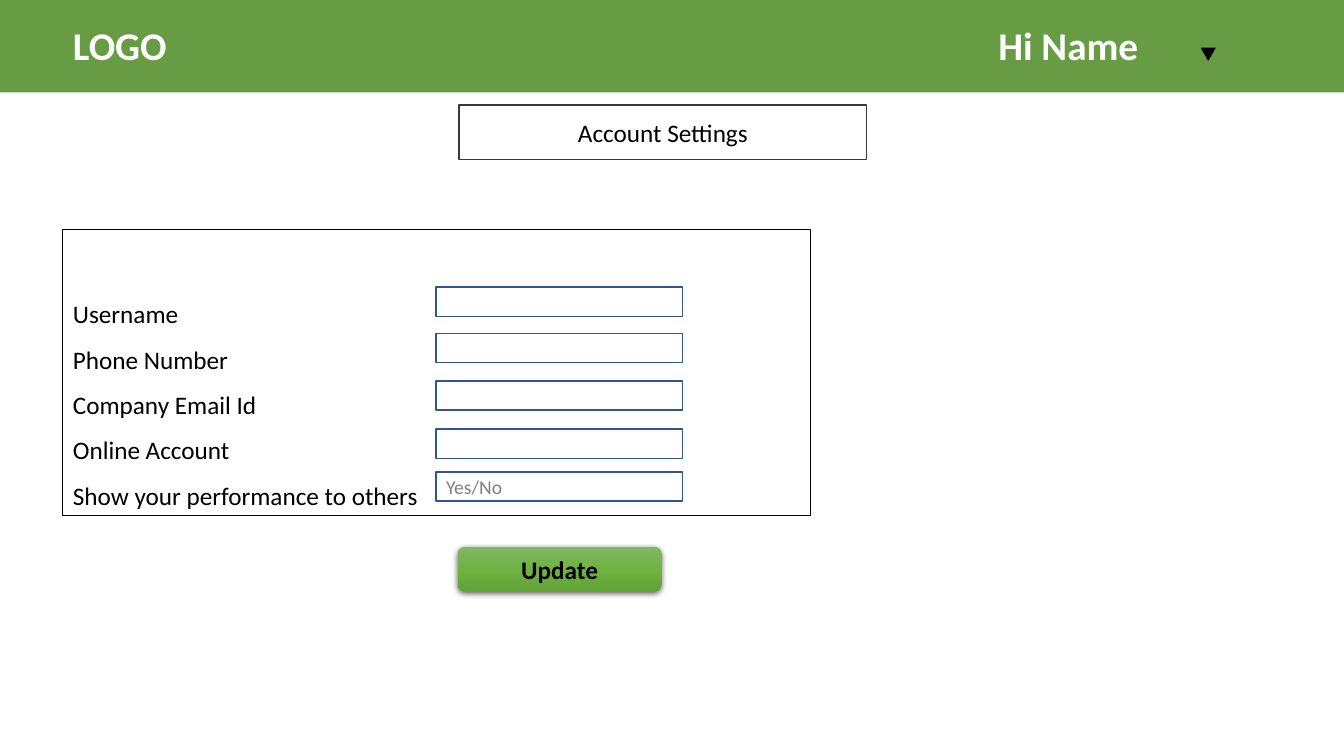
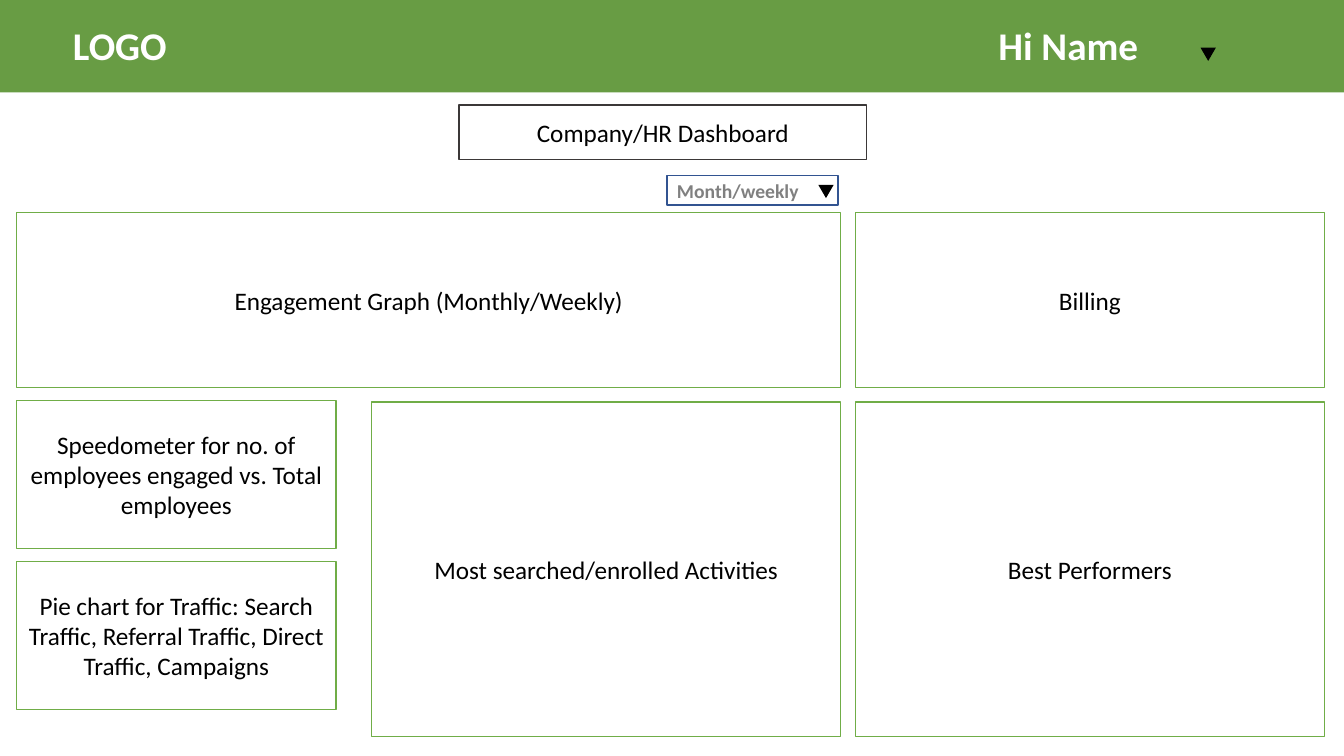
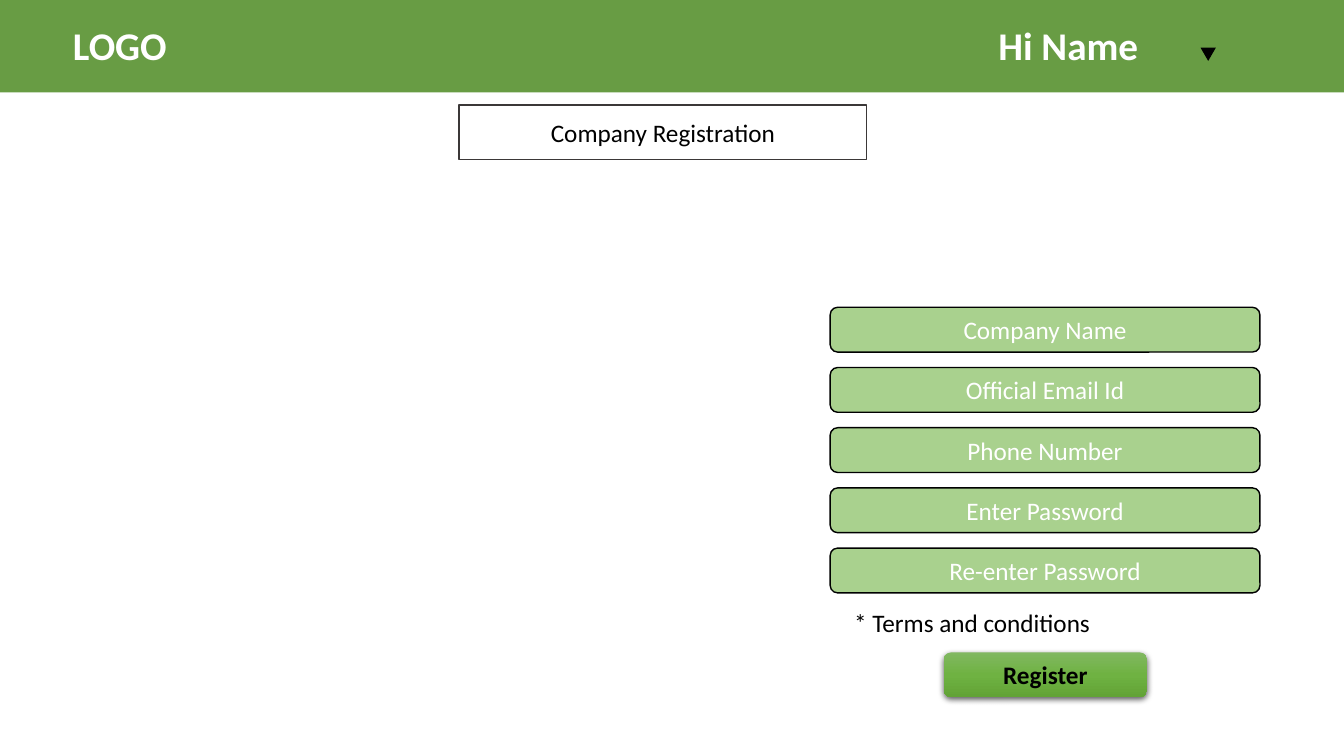
from copy import deepcopy
from dataclasses import dataclass

from lxml import etree
from pptx import Presentation
from pptx import util as u
from pptx.dml.color import RGBColor
from pptx.enum import shapes, text
from pptx.oxml.ns import qn

Pt = u.Pt
SHAPE = shapes.MSO_SHAPE
ALIGN = text.PP_ALIGN
ANCHOR = text.MSO_ANCHOR


@dataclass(frozen=True)
class Theme:
    font: str = "Calibri"
    # Colours
    band: str = "689C44"
    white: str = "FFFFFF"
    black: str = "000000"
    hint: str = "808080"
    title_line: str = "3B3838"
    field_line: str = "325491"
    card_line: str = "70AD47"
    pill: str = "A9D18E"
    button: tuple = ((0, "81B861"), (0.5, "6FB242"), (1, "62A336"))
    # Type sizes
    brand_size: int = 28
    body_size: int = 18
    hint_size: int = 14


class Wireframe:
    """Holds the theme, the presentation and the current slide."""

    def __init__(self, theme):
        self.t = theme
        self.prs = Presentation()
        self.prs.slide_width, self.prs.slide_height = Pt(960), Pt(540)
        self.s = None

    # Basic parts
    def style(self, sp, fill=None, line=None, width=1):
        if fill:
            sp.fill.solid()
            sp.fill.fore_color.rgb = RGBColor.from_string(fill)
        else:
            sp.fill.background()
        if line:
            sp.line.color.rgb = RGBColor.from_string(line)
            sp.line.width = Pt(width)
        else:
            sp.line.fill.background()

    def shape(self, kind, box, fill=None, line=None, width=1):
        sp = self.s.shapes.add_shape(kind, *map(Pt, box))
        sp.shadow.inherit = False
        self.style(sp, fill, line, width)
        return sp

    def put_text(self, sp, *lines, size=None, color=None, bold=False,
                 align=ALIGN.CENTER, anchor=ANCHOR.MIDDLE, spacing=None):
        tf = sp.text_frame
        tf.word_wrap = True
        tf.auto_size = text.MSO_AUTO_SIZE.NONE
        tf.vertical_anchor = anchor
        for i, line in enumerate(lines):
            p = tf.add_paragraph() if i else tf.paragraphs[0]
            p.alignment = align
            if spacing:
                p.line_spacing = spacing
            r = p.add_run()
            r.text = line
            r.font.name = self.t.font
            r.font.size = Pt(size or self.t.body_size)
            r.font.bold = bold
            r.font.color.rgb = RGBColor.from_string(color or self.t.black)

    # Slide frame
    def slide(self, title):
        t = self.t
        self.s = self.prs.slides.add_slide(self.prs.slide_layouts[5])
        self.shape(SHAPE.RECTANGLE, (0, 0, 960, 66), t.band)
        for x, label in ((45, "LOGO"), (706, "Hi Name")):
            self.label((x, 12, 145, 41), label, size=t.brand_size,
                       color=t.white, bold=True)
        self.arrow(857.5, 34)
        sp = self.s.shapes.title
        sp.left, sp.top, sp.width, sp.height = map(Pt, (328, 75, 291, 39))
        self.style(sp, t.white, t.title_line)
        self.put_text(sp, title)

    # Elements
    def label(self, box, line, **look):
        sp = self.s.shapes.add_textbox(*map(Pt, box))
        self.put_text(sp, line, align=ALIGN.LEFT, anchor=ANCHOR.TOP, **look)

    def arrow(self, x, y):
        sp = self.shape(SHAPE.ISOSCELES_TRIANGLE, (x, y, 11, 9.5), self.t.black)
        sp.rotation = 180

    def field(self, x, y, w, hint=None, bold=False):
        sp = self.shape(SHAPE.RECTANGLE, (x, y, w, 21),
                        self.t.white, self.t.field_line)
        if hint:
            self.put_text(sp, hint, size=self.t.hint_size, color=self.t.hint,
                          bold=bold, align=ALIGN.LEFT)

    def form(self, box, labels):
        sp = self.shape(SHAPE.RECTANGLE, box, line=self.t.black, width=0.75)
        self.put_text(sp, *labels, align=ALIGN.LEFT, anchor=ANCHOR.BOTTOM,
                      spacing=1.5)

    def card(self, box, line):
        sp = self.shape(SHAPE.RECTANGLE, box, self.t.white, self.t.card_line)
        self.put_text(sp, line)

    def pill(self, box, line):
        sp = self.shape(SHAPE.ROUNDED_RECTANGLE, box, self.t.pill, self.t.black)
        self.put_text(sp, line, color=self.t.white)

    def button(self, x, y, line):
        sp = self.shape(SHAPE.ROUNDED_RECTANGLE, (x, y, 145.5, 32))
        # Three-stop gradient, top to bottom
        sp.fill.gradient()
        sp.fill.gradient_angle = 270
        stops = sp._element.spPr.find(".//" + qn("a:gsLst"))
        stops.append(deepcopy(stops[0]))
        for stop, (pos, color) in zip(sp.fill.gradient_stops, self.t.button):
            stop.position = pos
            stop.color.rgb = RGBColor.from_string(color)
        # Soft shadow below
        effects = sp._element.spPr.find(qn("a:effectLst"))
        shadow = etree.SubElement(
            effects, qn("a:outerShdw"), blurRad=str(Pt(4.5)),
            dist=str(Pt(1.5)), dir="5400000", algn="ctr", rotWithShape="0")
        color = etree.SubElement(shadow, qn("a:srgbClr"), val=self.t.black)
        etree.SubElement(color, qn("a:alpha"), val="63000")
        self.put_text(sp, line, bold=True)


def account_settings(w):
    w.slide("Account Settings")
    w.form((45, 164, 534, 204),
           ("Username", "Phone Number", "Company Email Id", "Online Account",
            "Show your performance to others"))
    tops = (205, 238, 272, 306.5, 337)
    hints = (None,) * 4 + ("Yes/No",)
    for y, hint in zip(tops, hints):
        w.field(311.5, y, 176, hint)
    w.button(327, 390.5, "Update")


def dashboard(w):
    w.slide("Company/HR Dashboard")
    left, mid, right = 12, 265.5, 611
    wide, narrow = 335, 228
    upper, lower = 152, 287
    # Top row
    w.card((left, upper, mid + wide - left, 125),
           "Engagement Graph (Monthly/Weekly)")
    w.card((right, upper, wide, 125), "Billing")
    # Period picker
    w.field(476.5, 125.5, 122, "Month/weekly", bold=True)
    w.arrow(584.5, 132)
    # Narrow column
    notes = ("Speedometer for no. of employees engaged vs. Total employees",
             "Pie chart for Traffic: Search Traffic, Referral Traffic, "
             "Direct Traffic, Campaigns")
    for i, note in enumerate(notes):
        w.card((left, 286 + 115 * i, narrow, 106), note)
    # Tall cards
    for x, line in ((mid, "Most searched/enrolled Activities"),
                    (right, "Best Performers")):
        w.card((x, lower, wide, 239), line)


def registration(w):
    w.slide("Company Registration")
    fields = ("Company Name", "Official Email Id", "Phone Number",
              "Enter Password", "Re-enter Password")
    for i, line in enumerate(fields):
        w.pill((593, 219.5 + 43 * i, 307, 32), line)
    w.label((603, 430, 283, 29), "* Terms and conditions")
    w.button(674, 466, "Register")


def main():
    w = Wireframe(Theme())
    account_settings(w)
    dashboard(w)
    registration(w)
    w.prs.save("out.pptx")


if __name__ == "__main__":
    main()
